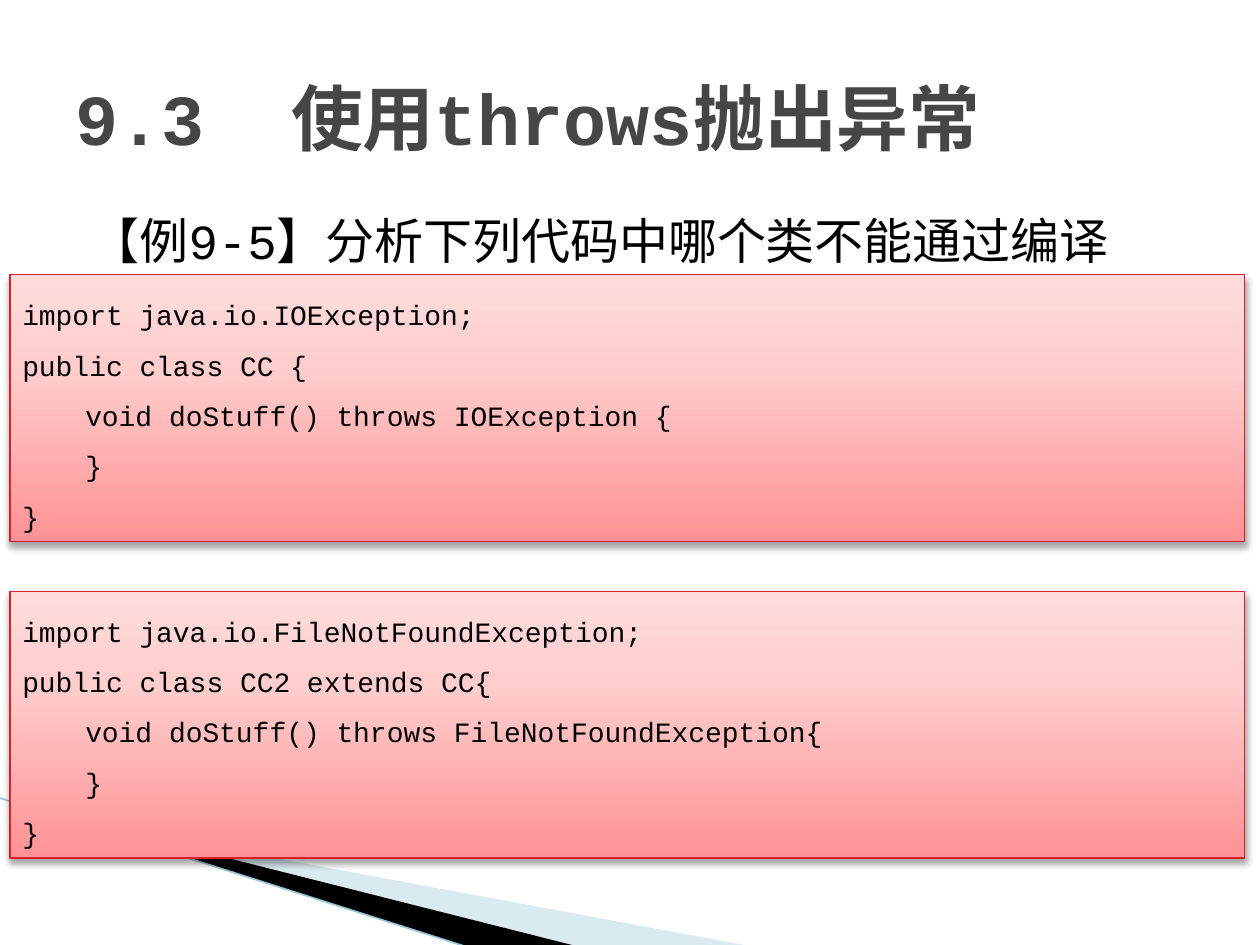
from copy import deepcopy

from lxml.etree import SubElement
from pptx import Presentation
from pptx.dml.color import RGBColor
from pptx.enum.shapes import MSO_CONNECTOR, MSO_SHAPE
from pptx.enum.text import MSO_ANCHOR, MSO_AUTO_SIZE, PP_ALIGN
from pptx.oxml.ns import qn
from pptx.util import Cm, Pt

# Content
TITLE = "9.3  使用throws抛出异常"
QUESTION = "【例9-5】分析下列代码中哪个类不能通过编译"
CODE_BLOCKS = [
    [
        "import java.io.IOException;",
        "public class CC {",
        "\tvoid doStuff() throws IOException {",
        "\t}",
        "}",
    ],
    [
        "import java.io.FileNotFoundException;",
        "public class CC2 extends CC{",
        "\tvoid doStuff() throws FileNotFoundException{",
        "\t}",
        "}",
    ],
]

THEME = {
    "font": "Courier New",
    "title_size": 41, "question_size": 28, "code_size": 16,
    "title": "464646", "text": "000000", "box_line": "DA1F28",
    "box_stops": [(0, "FF9294"), (0.65, "FFCDCD"), (1, "FFDCDC")],
    "wave_light": "A0CBDC", "wave_dark": "000000", "wave_line": "97C5D8",
}

# Corner decoration, points in cm
WAVES = [
    ("wave_light", 40, [(1.4, 16.53), (15.11, 19.07), (11.58, 19.07), (1.4, 16.51)]),
    ("wave_dark", 100, [(1.35, 16.48), (11.61, 19.07), (9.45, 19.1), (1.37, 16.51)]),
]
WAVE_LINE = (-0.03, 16.08, 9.45, 19.1)

# Code boxes, cm
BOX_LEFT, BOX_TOP, BOX_W, BOX_H, BOX_STEP = 0.2, 5.54, 24.89, 5.38, 6.38


def rgb(name):
    return RGBColor.from_string(THEME.get(name, name))


def style(p, size, color, bold=False):
    p.font.name = THEME["font"]
    p.font.size = Pt(THEME[size])
    p.font.color.rgb = rgb(color)
    p.font.bold = bold


def add_wave(s, color, opacity, points):
    (x, y), *rest = [(Cm(a), Cm(b)) for a, b in points]
    fb = s.shapes.build_freeform(x, y)
    fb.add_line_segments(rest, close=True)
    sp = fb.convert_to_shape()
    sp.shadow.inherit = False
    sp.fill.solid()
    sp.fill.fore_color.rgb = rgb(color)
    sp.line.fill.background()
    if opacity < 100:
        clr = sp.element.spPr.find(qn("a:solidFill"))[0]
        SubElement(clr, qn("a:alpha"), val=str(opacity * 1000))


def add_drop_shadow(sp):
    sp.shadow.inherit = False
    effects = sp.element.spPr.find(qn("a:effectLst"))
    shadow = SubElement(effects, qn("a:outerShdw"), blurRad=str(Pt(4)),
                        dist=str(Pt(3)), dir="5400000", rotWithShape="0")
    clr = SubElement(shadow, qn("a:srgbClr"), val="000000")
    SubElement(clr, qn("a:alpha"), val="35000")


def add_code_box(s, top, lines):
    sp = s.shapes.add_shape(MSO_SHAPE.RECTANGLE, Cm(BOX_LEFT), Cm(top),
                            Cm(BOX_W), Cm(BOX_H))
    sp.fill.gradient()
    sp.fill.gradient_angle = 90
    stops = sp.element.spPr.find(".//" + qn("a:gsLst"))
    stops.append(deepcopy(stops[-1]))
    for stop, (pos, color) in zip(sp.fill.gradient_stops, THEME["box_stops"]):
        stop.position = pos
        stop.color.rgb = rgb(color)
    sp.line.color.rgb = rgb("box_line")
    sp.line.width = Pt(0.75)
    add_drop_shadow(sp)

    tf = sp.text_frame
    tf.word_wrap = True
    tf.auto_size = MSO_AUTO_SIZE.SHAPE_TO_FIT_TEXT
    tf.vertical_anchor = MSO_ANCHOR.TOP
    tf.text = "\n".join(lines)
    for p in tf.paragraphs:
        p.alignment = PP_ALIGN.LEFT
        p.line_spacing = 1.5
        style(p, "code_size", "text")


def main():
    prs = Presentation()
    prs.slide_width, prs.slide_height = Cm(25.4), Cm(19.05)
    s = prs.slides.add_slide(prs.slide_layouts[5])

    # Decoration
    for wave in WAVES:
        add_wave(s, *wave)
    line = s.shapes.add_connector(MSO_CONNECTOR.STRAIGHT, *map(Cm, WAVE_LINE))
    line.line.color.rgb = rgb("wave_line")
    line.line.width = Pt(0.95)
    SubElement(line.element.spPr, qn("a:effectLst"))

    # Title
    title = s.shapes.title
    title.left, title.top, title.width, title.height = map(
        Cm, (1.27, 0.76, 22.86, 3.18))
    tf = title.text_frame
    tf.text = TITLE
    tf.vertical_anchor = MSO_ANCHOR.MIDDLE
    tf.paragraphs[0].alignment = PP_ALIGN.LEFT
    style(tf.paragraphs[0], "title_size", "title", bold=True)

    # Question
    tf = s.shapes.add_textbox(*map(Cm, (1.27, 4.11, 22.86, 1.6))).text_frame
    tf.word_wrap = True
    tf.margin_left = Cm(0.56)
    tf.text = QUESTION
    tf.paragraphs[0].space_before = Pt(4)
    style(tf.paragraphs[0], "question_size", "text")

    # Code
    for i, lines in enumerate(CODE_BLOCKS):
        add_code_box(s, BOX_TOP + i * BOX_STEP, lines)

    prs.save("out.pptx")


if __name__ == "__main__":
    main()
